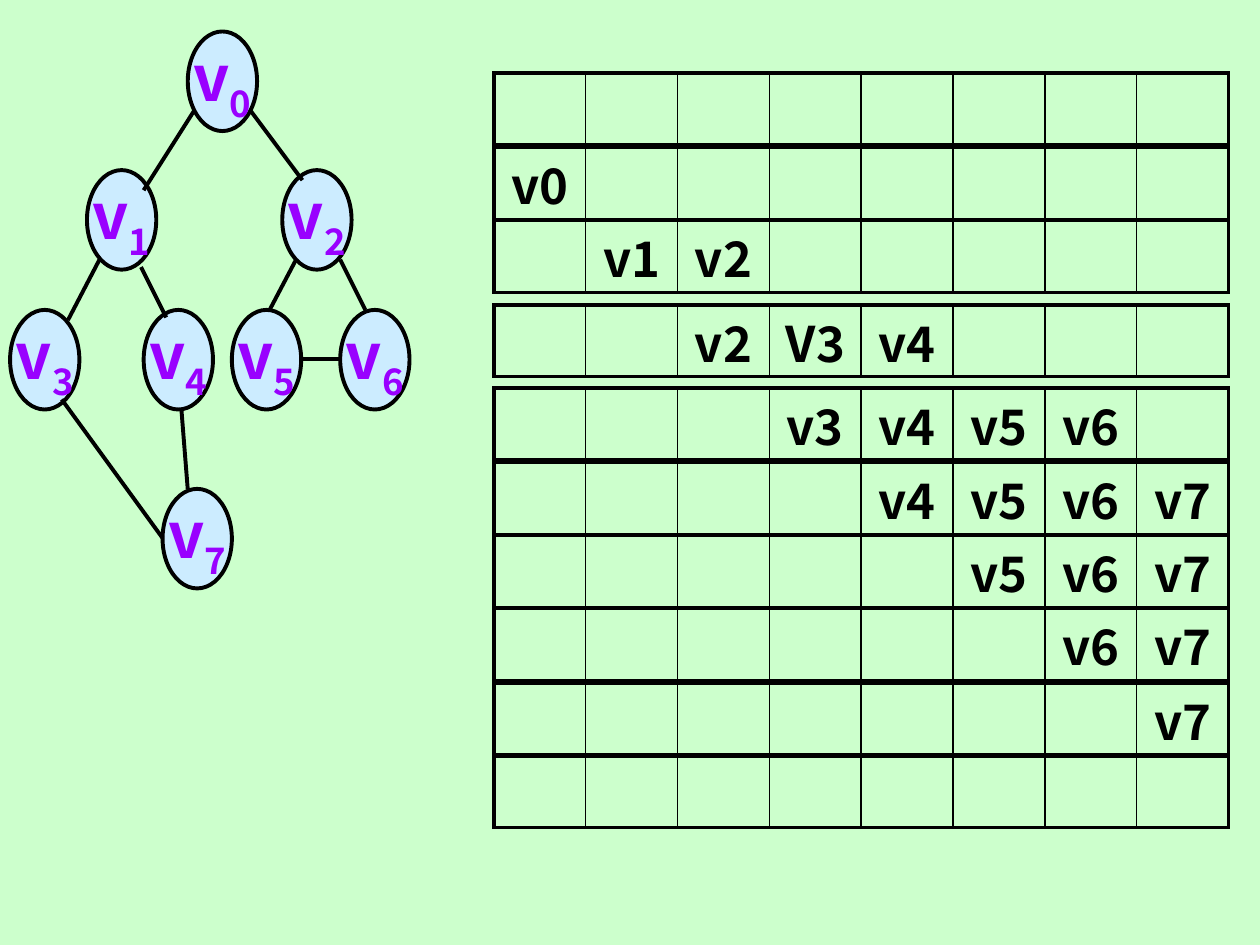
from lxml import etree
from pptx import Presentation
from pptx.dml.color import RGBColor
from pptx.enum.shapes import MSO_CONNECTOR, MSO_SHAPE
from pptx.enum.text import MSO_ANCHOR, PP_ALIGN
from pptx.oxml import parse_xml
from pptx.oxml.ns import nsdecls, qn
from pptx.util import Inches, Pt

STRAIGHT = MSO_CONNECTOR.STRAIGHT
OVAL = MSO_SHAPE.OVAL
MIDDLE = MSO_ANCHOR.MIDDLE
CENTER = PP_ALIGN.CENTER
FONT = "Noto Sans CJK SC"
INK = "000000"


def color(hex_code):
    return RGBColor.from_string(hex_code)


def style_text(paragraph, size, hex_code):
    paragraph.alignment = CENTER
    paragraph.font.name = FONT
    paragraph.font.size = Pt(size)
    paragraph.font.bold = True
    paragraph.font.color.rgb = color(hex_code)


prs = Presentation()
prs.slide_width = Inches(10)
prs.slide_height = Inches(7.5)
slide = prs.slides.add_slide(prs.slide_layouts[6])
slide.background.fill.solid()
slide.background.fill.fore_color.rgb = color("CCFFCC")

vertices = [
    (1.49, 0.25), (0.69, 1.35), (2.24, 1.35), (0.08, 2.46),
    (1.14, 2.46), (1.84, 2.46), (2.7, 2.46), (1.29, 3.88),
]
for index, (left, top) in enumerate(vertices):
    vertex = slide.shapes.add_shape(OVAL, Inches(left), Inches(top), Inches(0.55), Inches(0.79))
    vertex.shadow.inherit = False
    vertex.fill.solid()
    vertex.fill.fore_color.rgb = color("CCECFF")
    vertex.line.color.rgb = color(INK)
    vertex.line.width = Pt(2.25)
    vertex.text_frame.word_wrap = False
    vertex.text_frame.vertical_anchor = MIDDLE
    label = vertex.text_frame.paragraphs[0]
    style_text(label, 36, "9900FF")
    label.add_run().text = "v"
    subscript = label.add_run()
    subscript.text = str(index)
    subscript._r.get_or_add_rPr().set("baseline", "-25000")

edges = [
    (1.54, 0.88, 1.14, 1.51), (1.99, 0.88, 2.4, 1.43),
    (0.79, 2.06, 0.54, 2.54), (1.12, 2.12, 1.32, 2.52),
    (2.35, 2.06, 2.14, 2.46), (2.7, 2.06, 2.9, 2.46),
    (2.4, 2.85, 2.7, 2.85), (0.49, 3.17, 1.29, 4.27),
    (1.44, 3.25, 1.49, 3.88),
]
for ends in edges:
    edge = slide.shapes.add_connector(STRAIGHT, *[Inches(value) for value in ends])
    edge.line.color.rgb = color(INK)
    edge.line.width = Pt(2.25)
    etree.SubElement(edge._element.spPr, qn("a:effectLst"))

SLOTS = 8
queue_states = [
    (0.58, []),
    (1.17, ["v0"]),
    (1.75, ["v1", "v2"]),
    (2.42, ["v2", "V3", "v4"]),
    (3.08, ["v3", "v4", "v5", "v6"]),
    (3.67, ["v4", "v5", "v6", "v7"]),
    (4.25, ["v5", "v6", "v7"]),
    (4.83, ["v6", "v7"]),
    (5.42, ["v7"]),
    (6, []),
]
for top, queued in queue_states:
    queue = slide.shapes.add_table(
        1, SLOTS, Inches(3.92), Inches(top), Inches(5.83), Inches(0.57)
    ).table
    queue.first_row = False
    queue.horz_banding = False
    entries = {int(name[1:]): name for name in queued}
    for slot in range(SLOTS):
        cell = queue.cell(0, slot)
        cell.fill.background()
        cell.vertical_anchor = MIDDLE
        cell.margin_top = cell.margin_bottom = 0
        if slot in entries:
            cell.text = entries[slot]
            style_text(cell.text_frame.paragraphs[0], 28, INK)
        borders = {
            "lnL": 2.25 if slot == 0 else 1,
            "lnR": 2.25 if slot == SLOTS - 1 else 1,
            "lnT": 2.25,
            "lnB": 2.25,
        }
        for position, (side, width) in enumerate(borders.items()):
            border = parse_xml(
                f'<a:{side} {nsdecls("a")} w="{Pt(width)}"><a:solidFill>'
                f'<a:srgbClr val="{INK}"/></a:solidFill></a:{side}>'
            )
            cell._tc.get_or_add_tcPr().insert(position, border)

prs.save("out.pptx")
